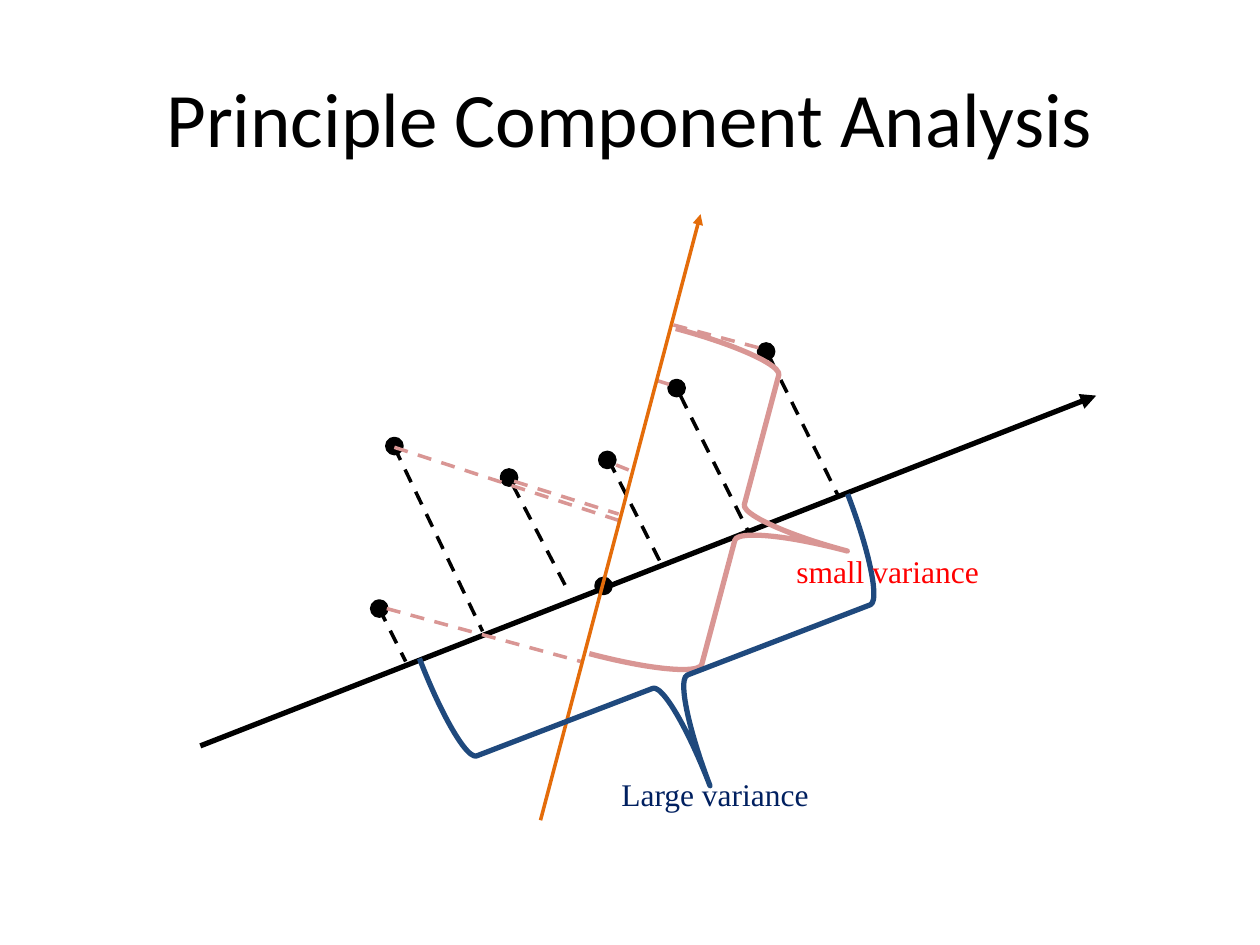
from lxml import etree
from pptx import Presentation
from pptx.dml.color import RGBColor
from pptx.enum.dml import MSO_LINE_DASH_STYLE as Dash
from pptx.enum.shapes import MSO_CONNECTOR as Connector, MSO_SHAPE as Shape
from pptx.enum.text import MSO_ANCHOR as Anchor, MSO_AUTO_SIZE as AutoSize, PP_ALIGN as Align
from pptx.oxml.ns import qn
from pptx.util import Inches, Pt

# The slide is a grid of 100 columns by 75 rows of square cells
COLUMNS, ROWS = 100, 75
CELL = 0.1
DOT = 1.2

BLACK, PINK, ORANGE, BLUE = "000000", "D99694", "E46C0A", "1F497D"
RED, NAVY = "FF0000", "002060"

# Top left corner of each data point, and of the mean on the main axis
DOTS = [(30.7, 34.8), (39.8, 37.3), (60.2, 27.3), (29.5, 47.7),
        (47.6, 35.9), (53.1, 30.2), (47.3, 45.9)]

# Projections of the points on each axis: start, end
MAIN_PROJECTIONS = [
    ((40.7, 38.5), (45.2, 47.1)), ((48.3, 36.5), (52.4, 44.6)),
    ((54, 31.4), (59.4, 42.2)), ((61.1, 28.4), (66.5, 39.3)),
    ((31.3, 35.5), (38.3, 50.1)), ((30.1, 48.3), (32.2, 52.5)),
]
SECOND_PROJECTIONS = [
    ((40.8, 38.2), (49.1, 40.8)), ((48.9, 36.9), (49.9, 37.3)),
    ((53.1, 30.5), (51.5, 30)), ((60.2, 27.6), (53.1, 25.7)),
    ((31.3, 35.5), (49.4, 41.4)), ((30.7, 48.3), (46.1, 52.5)),
]


def cells(*counts):
    return [Inches(count * CELL) for count in counts]


def color(hex_string):
    return RGBColor.from_string(hex_string)


def set_line(shape, hex_string, width):
    shape.line.color.rgb = color(hex_string)
    shape.line.width = Pt(width)


def style_text(box, text, font, size, hex_string):
    frame = box.text_frame
    frame.text = text
    para = frame.paragraphs[0]
    para.alignment = Align.CENTER
    span = para.runs[0]
    span.font.name = font
    span.font.size = Pt(size)
    span.font.color.rgb = color(hex_string)


def add_title(page, text):
    title = page.shapes.title
    title.left, title.top, title.width, title.height = cells(5, 3, 90, 12.5)
    title.text_frame.vertical_anchor = Anchor.MIDDLE
    style_text(title, text, "Calibri", 44, BLACK)


def add_line(page, start, end, hex_string, width):
    line = page.shapes.add_connector(Connector.STRAIGHT, *cells(*start, *end))
    set_line(line, hex_string, width)
    etree.SubElement(line._element.spPr, qn("a:effectLst"))
    return line


def add_axis(page, start, end, hex_string, width):
    axis = add_line(page, start, end, hex_string, width)
    tail = etree.SubElement(axis.line._get_or_add_ln(), qn("a:tailEnd"))
    tail.set("type", "triangle")


def add_projections(page, projections, hex_string):
    for start, end in projections:
        add_line(page, start, end, hex_string, 2).line.dash_style = Dash.DASH


def add_dot(page, left, top):
    dot = page.shapes.add_shape(Shape.OVAL, *cells(left, top, DOT, DOT))
    dot.shadow.inherit = False
    dot.fill.solid()
    dot.fill.fore_color.rgb = color(BLACK)
    set_line(dot, BLACK, 2)


def add_brace(page, left, top, width, height, angle, hex_string):
    brace = page.shapes.add_shape(Shape.RIGHT_BRACE, *cells(left, top, width, height))
    brace.shadow.inherit = False
    brace.fill.background()
    set_line(brace, hex_string, 3)
    brace.adjustments[0], brace.adjustments[1] = 0.083, 0.492
    brace.rotation = angle
    brace._element.spPr.xfrm.set("flipH", "1")


def add_label(page, left, top, text, hex_string):
    box = page.shapes.add_textbox(*cells(left, top, 29.1, 4))
    box.text_frame.word_wrap = True
    box.text_frame.auto_size = AutoSize.SHAPE_TO_FIT_TEXT
    style_text(box, text, "Times New Roman", 18, hex_string)


def main():
    deck = Presentation()
    deck.slide_width, deck.slide_height = cells(COLUMNS, ROWS)
    page = deck.slides.add_slide(deck.slide_layouts.get_by_name("Title Only"))
    add_title(page, "Principle Component Analysis")

    # Main axis, points and their projections
    add_axis(page, (15.9, 59.2), (87, 31.4), BLACK, 3)
    for corner in DOTS:
        add_dot(page, *corner)
    add_projections(page, MAIN_PROJECTIONS, BLACK)

    # Second axis
    add_projections(page, SECOND_PROJECTIONS, PINK)
    add_axis(page, (42.9, 65.1), (55.6, 17), ORANGE, 2)

    # Spread along each axis
    add_brace(page, 49.9, 27.9, 17.7, 26.7, 194.9, PINK)
    add_brace(page, 44.6, 35.8, 17.7, 36.4, 249, BLUE)
    add_label(page, 55.9, 43.3, "small variance", RED)
    add_label(page, 42.2, 61, "Large variance", NAVY)

    deck.save("out.pptx")


if __name__ == "__main__":
    main()
